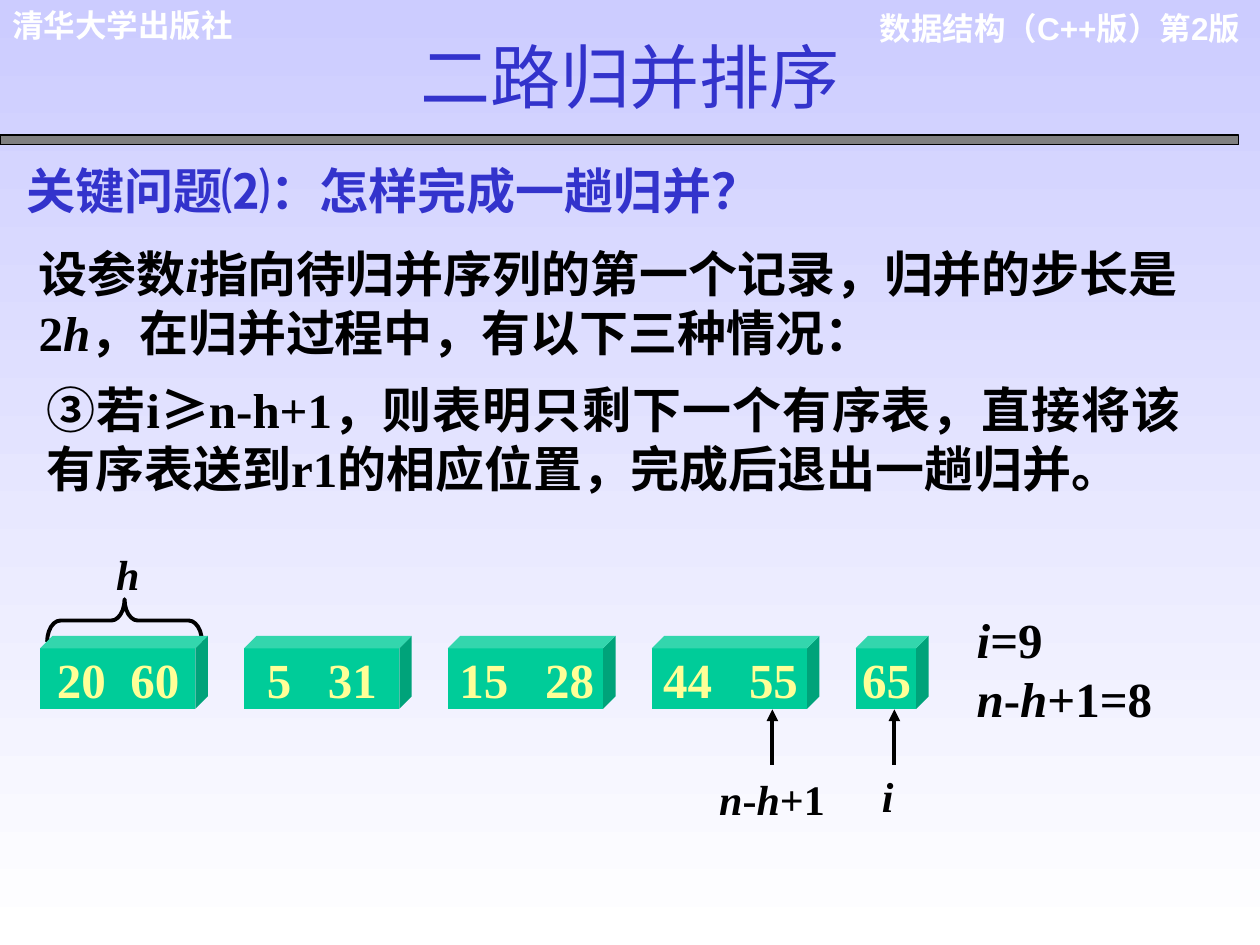
from lxml import etree
from pptx import Presentation
from pptx.dml.color import RGBColor
from pptx.enum.shapes import MSO_CONNECTOR, MSO_SHAPE
from pptx.enum.text import MSO_ANCHOR, PP_ALIGN
from pptx.oxml.ns import qn
from pptx.util import Cm, Pt

LEFT, CENTER, RIGHT, JUSTIFY = PP_ALIGN.LEFT, PP_ALIGN.CENTER, PP_ALIGN.RIGHT, PP_ALIGN.JUSTIFY
TOP, MIDDLE, BOTTOM = MSO_ANCHOR.TOP, MSO_ANCHOR.MIDDLE, MSO_ANCHOR.BOTTOM
RECTANGLE, CUBE, BRACE = MSO_SHAPE.RECTANGLE, MSO_SHAPE.CUBE, MSO_SHAPE.LEFT_BRACE
STRAIGHT = MSO_CONNECTOR.STRAIGHT

SERIF, SANS, CJK, TITLE = "Times New Roman", "Arial", "Noto Sans CJK SC", "Lato"
BLACK, WHITE, BLUE, GRAY = "000000", "FFFFFF", "3333CC", "808080"
GREEN, YELLOW, LAVENDER = "00CC99", "FFFF97", "CCCCFF"
PADDING = (0.25, 0.13, 0.25, 0.13)
NO_PADDING = (0, 0, 0, 0)


def color(value):
    return RGBColor.from_string(value)


def add_run(paragraph, text, size=28, font=SERIF, fill=BLACK, bold=True, italic=False, shadow=False):
    run = paragraph.add_run()
    run.text = text
    run.font.size = Pt(size)
    run.font.bold = bold
    run.font.italic = italic
    run.font.color.rgb = color(fill)
    properties = run.font._element
    if shadow:
        effects = etree.SubElement(properties, qn("a:effectLst"))
        outer = etree.SubElement(effects, qn("a:outerShdw"), dist="35921", dir="2700000")
        etree.SubElement(outer, qn("a:srgbClr"), val=GRAY)
    run.font.name = font
    etree.SubElement(properties, qn("a:ea"), typeface=CJK)


class SlideBuilder:
    def __init__(self, slide):
        self.slide = slide
        self.shapes = slide.shapes

    def background(self, start, end):
        fill = self.slide.background.fill
        fill.gradient()
        fill.gradient_angle = 270
        for stop, value in zip(fill.gradient_stops, (start, end)):
            stop.color.rgb = color(value)

    def set_text(self, shape, paragraphs, padding=PADDING, align=LEFT, anchor=TOP, tab=None, **style):
        frame = shape.text_frame
        frame.word_wrap = True
        frame.vertical_anchor = anchor
        frame.margin_left, frame.margin_top, frame.margin_right, frame.margin_bottom = map(Cm, padding)
        for index, runs in enumerate(paragraphs):
            paragraph = frame.add_paragraph() if index else frame.paragraphs[0]
            paragraph.alignment = align
            if tab:
                tabs = etree.SubElement(paragraph._p.get_or_add_pPr(), qn("a:tabLst"))
                etree.SubElement(tabs, qn("a:tab"), pos=str(Cm(tab)), algn="l")
            for text, changes in runs:
                add_run(paragraph, text, **{**style, **changes})

    def text(self, box, *paragraphs, **style):
        self.set_text(self.shapes.add_textbox(*map(Cm, box)), paragraphs, **style)

    def shape(self, kind, box, fill=None, line=None, width=0.75):
        shape = self.shapes.add_shape(kind, *map(Cm, box))
        shape.shadow.inherit = False
        if fill:
            shape.fill.solid()
            shape.fill.fore_color.rgb = color(fill)
        else:
            shape.fill.background()
        if line:
            shape.line.color.rgb = color(line)
            shape.line.width = Pt(width)
        else:
            shape.line.fill.background()
        return shape

    def brace(self, box):
        brace = self.shape(BRACE, box, line=BLACK, width=2.25)
        brace.adjustments[0] = 0.31
        brace.rotation = 90

    def cube(self, box, label, start, tab=None):
        cube = self.shape(CUBE, box, fill=GREEN)
        cube.adjustments[0] = 0.17
        self.set_text(cube, [[(label, {})]], (start, 0, 0, 0), anchor=MIDDLE, tab=tab, fill=YELLOW)

    def arrow(self, x, start, end):
        connector = self.shapes.add_connector(STRAIGHT, Cm(x), Cm(start), Cm(x), Cm(end))
        connector.line.color.rgb = color(BLACK)
        connector.line.width = Pt(2.25)
        etree.SubElement(connector.line._get_or_add_ln(), qn("a:tailEnd"), type="triangle")
        etree.SubElement(connector._element.spPr, qn("a:effectLst"))


def plain(text, **changes):
    return text, changes


def italic(text):
    return text, {"italic": True}


def main():
    presentation = Presentation()
    presentation.slide_width, presentation.slide_height = Cm(25.4), Cm(19.05)
    builder = SlideBuilder(presentation.slides.add_slide(presentation.slide_layouts[6]))
    builder.background(LAVENDER, WHITE)

    header = {"size": 18, "font": SANS, "fill": WHITE}
    builder.text((17.2, 0.05, 8.05, 1.78), [plain("数据结构（C++版）第2版")], align=RIGHT, **header)
    builder.text((0, 0, 6.88, 1.02), [plain("清华大学出版社")], **header)
    builder.shape(RECTANGLE, (0, 2.72, 24.97, 0.2), fill=GRAY, line=BLACK)

    builder.text((0.28, 3.1, 24.41, 1.45),
                 [plain("关键问题⑵："), plain("怎样完成一趟归并？", font=SANS)], font=CJK, fill=BLUE)
    builder.text((0.53, 4.78, 24.18, 2.64),
                 [plain("设参数"), italic("i"), plain("指向待归并序列的第一个记录，归并的步长是2"),
                  italic("h"), plain("，在归并过程中，有以下三种情况：")])
    builder.text((0.69, 7.52, 23.37, 2.64),
                 [plain("③"), plain("若", font=CJK), plain("i"), plain("≥", font=CJK), plain("n-h+1"),
                  plain("，则表明只剩下一个有序表，直接将该有序表送到", font=CJK), plain("r1"),
                  plain("的相应位置，完成后退出一趟归并。", font=CJK)], align=JUSTIFY)

    expression = [italic("n"), plain("-"), italic("h")]
    label = {"size": 24, "padding": NO_PADDING}
    for x in (18.03, 15.57):
        builder.arrow(x, 15.42, 14.3)
    builder.text((17.78, 15.54, 0.51, 1.02), [italic("i")], **label)
    builder.text((14.5, 15.6, 2.87, 1.02), expression + [plain("+1")], **label)
    builder.text((19.69, 12.29, 4.75, 2.36), [italic("i"), plain("=9")],
                 expression + [plain("+1=8")], padding=NO_PADDING)

    builder.brace((2.08, 10.95, 0.86, 3.12))
    builder.text((2.34, 11.05, 0.76, 1.02), [italic("h")], **label)
    cubes = [("20\t60", 0.34, 1.48), ("5\t31", 0.46, 1.23), ("15\t28", 0.23, 1.73),
             ("44\t55", 0.23, 1.73), ("65", 0.13, None)]
    for index, (numbers, start, tab) in enumerate(cubes):
        width = 3.38 if tab else 1.47
        builder.cube((0.81 + 4.11 * index, 12.82, width, 1.47), numbers, start, tab)

    builder.text((0, 0.64, 25.4, 1.85), [plain("二路归并"), plain("排序", font=CJK)], align=CENTER,
                 anchor=BOTTOM, size=40, font=TITLE, fill=BLUE, bold=False, shadow=True)
    presentation.save("out.pptx")


if __name__ == "__main__":
    main()
